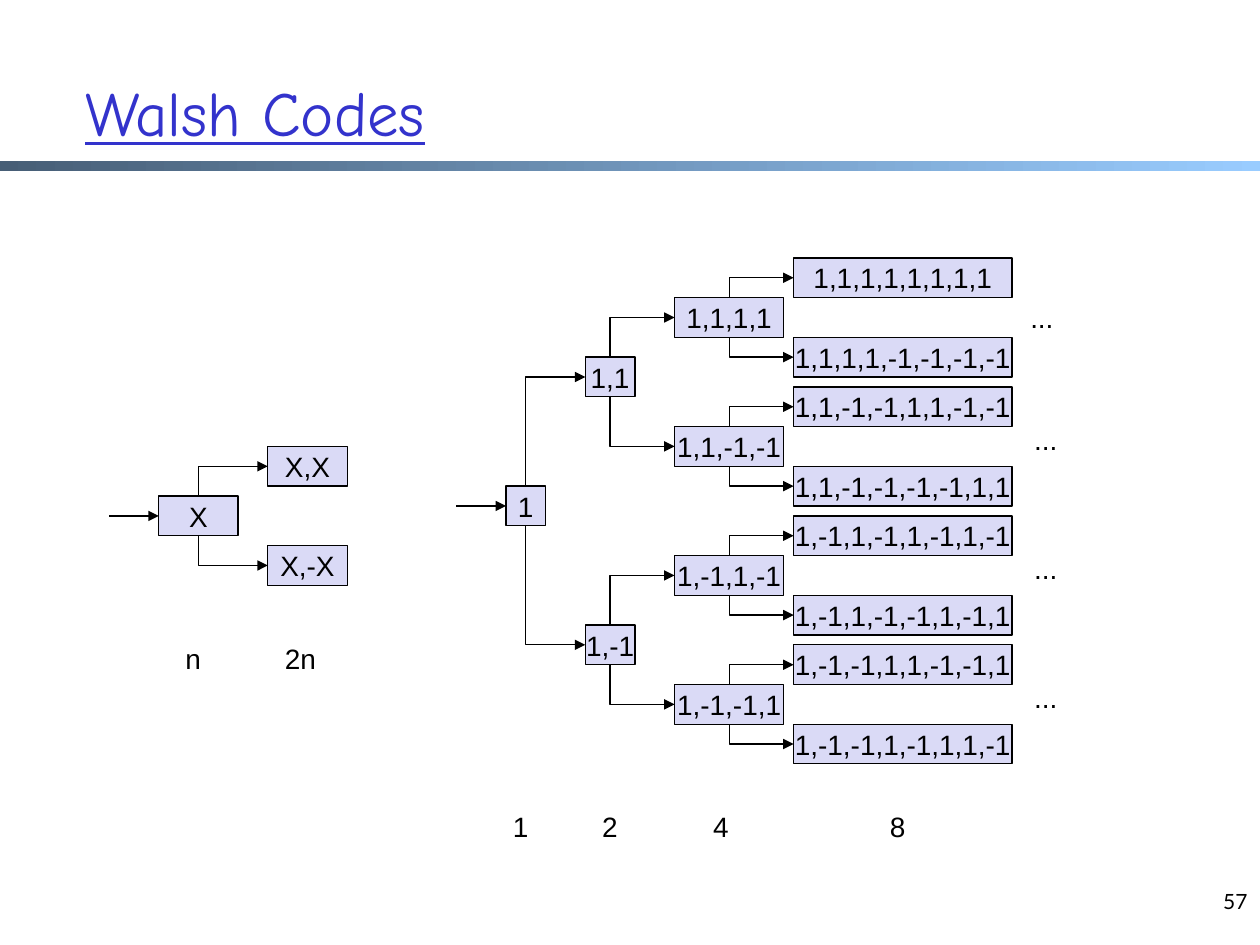
from lxml.etree import SubElement
from pptx import Presentation
from pptx.dml.color import RGBColor
from pptx.enum.shapes import MSO_CONNECTOR as Link, MSO_SHAPE as Shape
from pptx.enum.text import MSO_ANCHOR as Anchor, PP_ALIGN as Align
from pptx.oxml.ns import qn
from pptx.util import Inches, Mm, Pt

COLORS = {"ink": "000000", "box": "DADAF6", "title": "3333CC",
          "bar_start": "475E76", "bar_end": "99CCFF"}
BOX_ROWS, LABEL_ROWS = 4, 4.7
TOP, LEFT, BOTTOM = 0, 1, 2


def grid(count):
    return Mm(2 * count)


def color(name):
    return RGBColor.from_string(COLORS[name])


def style_text(frame, text, size=16, font="Arial", ink="ink",
               align=Align.LEFT, anchor=Anchor.TOP):
    frame.vertical_anchor = anchor
    paragraph = frame.paragraphs[0]
    paragraph.text = text
    paragraph.alignment = align
    paragraph.font.size = Pt(size)
    paragraph.font.name = font
    paragraph.font.color.rgb = color(ink)
    return paragraph


def add_text(slide, box, text, **style):
    frame = slide.shapes.add_textbox(*box).text_frame
    frame.word_wrap = True
    return style_text(frame, text, **style)


def add_label(slide, col, row, cols, text, align=Align.RIGHT):
    box = [grid(n) for n in (col, row, cols, LABEL_ROWS)]
    add_text(slide, box, text, align=align)


def add_code(slide, col, row, cols, text):
    code = slide.shapes.add_shape(
        Shape.RECTANGLE, *(grid(n) for n in (col, row, cols, BOX_ROWS)))
    code.shadow.inherit = False
    code.fill.solid()
    code.fill.fore_color.rgb = color("box")
    code.line.color.rgb = color("ink")
    code.line.width = Pt(0.75)
    code.text_frame.word_wrap = False
    style_text(code.text_frame, text, align=Align.CENTER, anchor=Anchor.MIDDLE)
    return code


def style_arrow(arrow):
    arrow.line.color.rgb = color("ink")
    arrow.line.width = Pt(0.75)
    properties = arrow._element.spPr
    SubElement(properties.find(qn("a:ln")), qn("a:tailEnd"), type="triangle")
    SubElement(properties, qn("a:effectLst"))


def add_entry(slide, code, cols):
    y = code.top + code.height // 2
    arrow = slide.shapes.add_connector(
        Link.STRAIGHT, code.left - grid(cols), y, code.left, y)
    arrow.end_connect(code, LEFT)
    style_arrow(arrow)


def add_branch(slide, parent, child):
    x = parent.left + parent.width // 2
    end_y = child.top + child.height // 2
    upward = end_y < parent.top
    start_y = parent.top if upward else parent.top + parent.height
    across, along = child.left - x, abs(end_y - start_y)
    arrow = slide.shapes.add_connector(Link.ELBOW, x, start_y, child.left, end_y)
    arrow.begin_connect(parent, TOP if upward else BOTTOM)
    arrow.end_connect(child, LEFT)
    arrow.left = x + (across - along) // 2
    arrow.top = (start_y + end_y - across) // 2
    arrow.width, arrow.height = along, across
    properties = arrow._element.spPr
    transform = properties.find(qn("a:xfrm"))
    transform.set("rot", "16200000")
    transform.set("flipH", "0" if upward else "1")
    transform.set("flipV", "0")
    properties.find(qn("a:prstGeom")).set("prst", "bentConnector2")
    style_arrow(arrow)


def add_header(slide, width, height):
    bar = slide.shapes.add_shape(
        Shape.RECTANGLE, 0, round(height * 0.17), width, Inches(0.08))
    bar.shadow.inherit = False
    bar.line.fill.background()
    bar.fill.gradient()
    bar.fill.gradient_angle = 0
    for stop, name in zip(bar.fill.gradient_stops, ("bar_start", "bar_end")):
        stop.color.rgb = color(name)
    box = [Inches(n) for n in (0.58, 0.42, 8.5, 0.92)]
    title = add_text(slide, box, "Walsh Codes", size=35.9, font="Comic Neue",
                     ink="title", anchor=Anchor.MIDDLE)
    title.font.underline = True


def add_page_number(slide, width, height):
    box_width, box_height = Inches(2.33), Inches(0.5)
    box = (width - box_width, height - box_height, box_width, box_height)
    add_text(slide, box, "57", size=12, font="Lato", align=Align.RIGHT)


def add_rule(slide, col, row):
    source = add_code(slide, col, row + 5, 8, "X")
    add_entry(slide, source, 5)
    for offset, text in ((0, "X,X"), (10, "X,-X")):
        add_branch(slide, source, add_code(slide, col + 11, row + offset, 8, text))
    add_label(slide, col - 1, row + 19, 6.5, "n")
    add_label(slide, col + 9, row + 19, 8.1, "2n")


def add_code_tree(slide, col, row):
    quads = [4 + 13 * i for i in range(4)]
    leaves = [quad + shift for quad in quads for shift in (-4, 4)]
    levels = [(0, 4, [23]), (8, 5, [10, 37]), (17, 11, quads), (29, 22, leaves)]
    codes, parents = [[1]], []
    for offset, cols, rows in levels:
        boxes = [add_code(slide, col + offset, row + r, cols, ",".join(map(str, code)))
                 for r, code in zip(rows, codes)]
        for i, box in enumerate(boxes):
            if parents:
                add_branch(slide, parents[i // 2], box)
            else:
                add_entry(slide, box, 5)
        parents = boxes
        codes = [code + [sign * bit for bit in code]
                 for code in codes for sign in (1, -1)]
    for offset, cols, text in ((-3, 6.5, "1"), (6, 6.5, "2"),
                               (18, 5.7, "4"), (35, 6.5, "8")):
        add_label(slide, col + offset, row + 55, cols, text)
    for offset, quad in zip((51.6, 52, 52, 52), (3.7, 16, 29, 42)):
        add_label(slide, col + offset, row + quad, 5, "...", Align.LEFT)


def main():
    deck = Presentation()
    deck.slide_width, deck.slide_height = Inches(10), Inches(7.5)
    slide = deck.slides.add_slide(deck.slide_layouts[6])
    add_header(slide, deck.slide_width, deck.slide_height)
    add_page_number(slide, deck.slide_width, deck.slide_height)
    add_rule(slide, 16, 45)
    add_code_tree(slide, 51, 26)
    deck.save("out.pptx")


if __name__ == "__main__":
    main()
